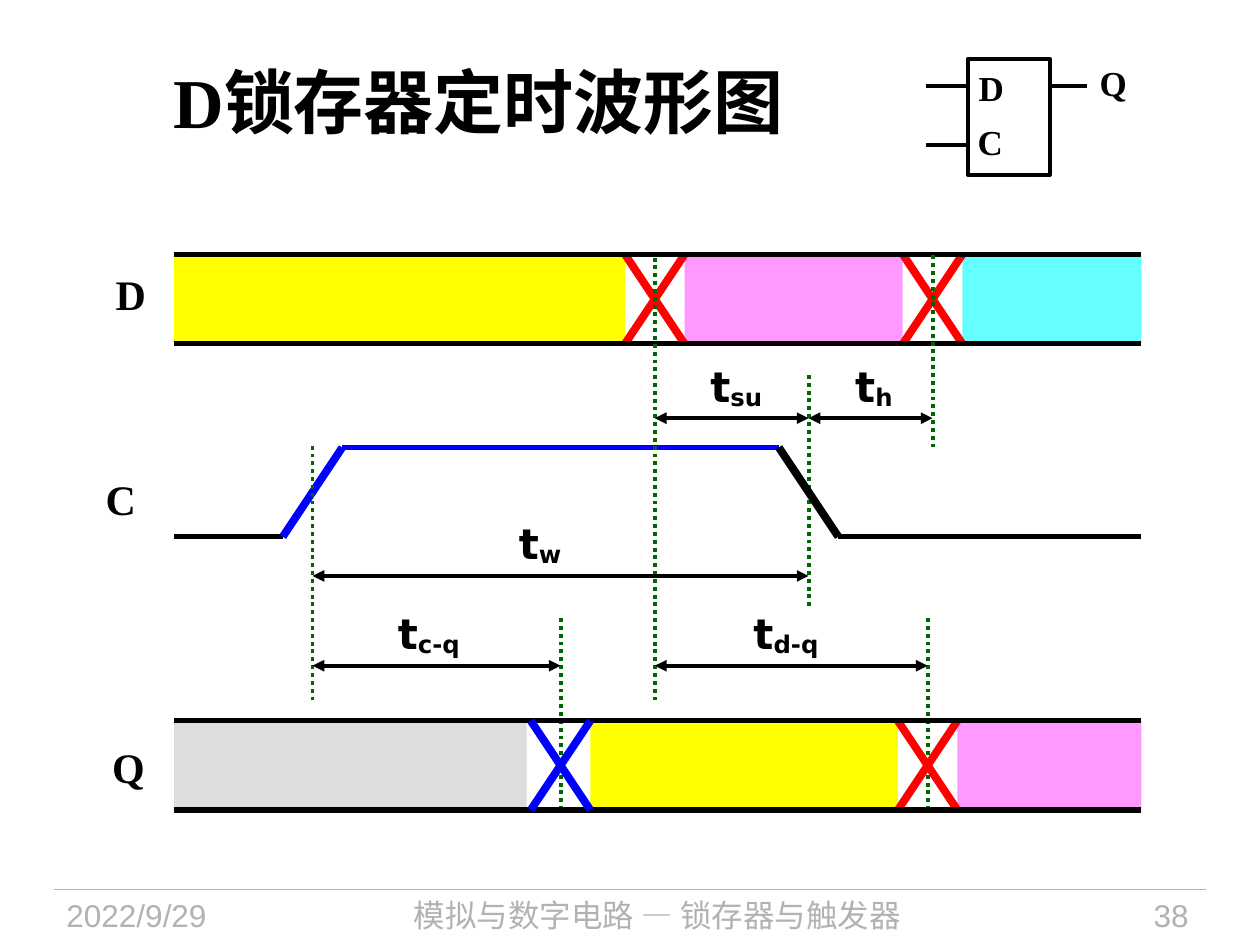
"""Build the slide showing the timing waveforms of a D latch."""
from lxml import etree
from pptx import Presentation
from pptx.dml.color import RGBColor
from pptx.enum.dml import MSO_LINE
from pptx.enum.shapes import MSO_CONNECTOR, MSO_SHAPE
from pptx.enum.text import MSO_ANCHOR, MSO_AUTO_SIZE, PP_ALIGN
from pptx.oxml.ns import qn
from pptx.util import Cm, Pt

STRAIGHT = MSO_CONNECTOR.STRAIGHT
RECTANGLE = MSO_SHAPE.RECTANGLE
DOTTED = MSO_LINE.ROUND_DOT
TOP, MIDDLE = MSO_ANCHOR.TOP, MSO_ANCHOR.MIDDLE
FIT = MSO_AUTO_SIZE.SHAPE_TO_FIT_TEXT
LEFT, CENTER, RIGHT = PP_ALIGN.LEFT, PP_ALIGN.CENTER, PP_ALIGN.RIGHT

BLACK = RGBColor(0x00, 0x00, 0x00)
GRAY = RGBColor(0xB2, 0xB2, 0xB2)
SILVER = RGBColor(0xDD, 0xDD, 0xDD)
YELLOW = RGBColor(0xFF, 0xFF, 0x00)
PINK = RGBColor(0xFF, 0x99, 0xFF)
CYAN = RGBColor(0x66, 0xFF, 0xFF)
RED = RGBColor(0xFF, 0x00, 0x00)
BLUE = RGBColor(0x00, 0x00, 0xFF)
GREEN = RGBColor(0x00, 0x66, 0x00)

SERIF, SANS, SYMBOL = "Times New Roman", "Arial", "DejaVu Sans"
CHINESE = "Noto Sans CJK SC"

START, END = 3.51, 23.01
SWING, HALF_EDGE = 1.8, 0.6
D_TOP, C_TOP, Q_TOP = 5.13, 9.02, 14.53
C_LOW = C_TOP + SWING
C_RISE, C_FALL = 6.3, 16.3
D_FIRST, D_SECOND = 13.2, 18.8
Q_FIRST, Q_SECOND = 11.3, 18.7


class TimingSlide:
    """Hold the drawing style and the current slide."""

    def __init__(self, slide):
        self.slide = slide

    def line(self, x1, y1, x2, y2, color=BLACK, width=2.25, dash=None, arrows=False):
        connector = self.slide.shapes.add_connector(STRAIGHT, Cm(x1), Cm(y1), Cm(x2), Cm(y2))
        connector.line.color.rgb = color
        connector.line.width = Pt(width)
        if dash:
            connector.line.dash_style = dash
        if arrows:
            outline = connector.line._get_or_add_ln()
            for end in ("a:headEnd", "a:tailEnd"):
                etree.SubElement(outline, qn(end), type="triangle")
        etree.SubElement(connector._element.spPr, qn("a:effectLst"))

    def rectangle(self, left, top, width, height, fill=None, border=None):
        shape = self.slide.shapes.add_shape(RECTANGLE, Cm(left), Cm(top), Cm(width), Cm(height))
        shape.shadow.inherit = False
        if fill is None:
            shape.fill.background()
        else:
            shape.fill.solid()
            shape.fill.fore_color.rgb = fill
        if border is None:
            shape.line.fill.background()
        else:
            shape.line.color.rgb = border
            shape.line.width = Pt(2.25)

    def text(self, text, left, top, width, height, size, font=SERIF, color=BLACK, bold=True,
             align=LEFT, anchor=TOP, wrap=True, subscript="", indent=0):
        box = self.slide.shapes.add_textbox(Cm(left), Cm(top), Cm(width), Cm(height))
        frame = box.text_frame
        frame.word_wrap = wrap
        frame.vertical_anchor = anchor
        if not wrap:
            frame.auto_size = FIT
        paragraph = frame.paragraphs[0]
        paragraph.alignment = align
        if indent:
            properties = paragraph._p.get_or_add_pPr()
            properties.set("marL", "0")
            properties.set("indent", str(Cm(indent)))
        paragraph.add_run().text = text
        if subscript:
            run = paragraph.add_run()
            run.text = subscript
            run._r.get_or_add_rPr().set("baseline", "-10000")
        paragraph.font.size = Pt(size)
        paragraph.font.bold = bold
        paragraph.font.color.rgb = color
        paragraph.font.name = font
        etree.SubElement(paragraph.font._rPr, qn("a:ea"), typeface=CHINESE)

    def label(self, text, left, top, width, size=24, **style):
        self.text(text, left, top, width, size * 0.053, size, wrap=False, **style)

    def footer(self, text, left, width, align, font=SANS):
        self.text(text, left, 17.93, width, 1.12, 18, font, GRAY, False, align)

    def bands(self, top, segments):
        for start, end, color in segments:
            self.rectangle(start, top, end - start, SWING, color)

    def rails(self, top):
        for y in (top, top + SWING):
            self.line(START, y, END, y, width=3)

    def edge(self, center, y1, y2, color):
        self.line(center - HALF_EDGE, y1, center + HALF_EDGE, y2, color, 4.5)

    def crossing(self, center, top, color):
        self.edge(center, top, top + SWING, color)
        self.edge(center, top + SWING, top, color)

    def guide(self, x, top, bottom):
        self.line(x, bottom, x, top, GREEN, dash=DOTTED)

    def interval(self, start, end, y):
        self.line(start, y, end, y, arrows=True)


def main():
    presentation = Presentation()
    presentation.slide_width, presentation.slide_height = Cm(25.4), Cm(19.05)
    timing = TimingSlide(presentation.slides.add_slide(presentation.slide_layouts[6]))

    timing.line(1.09, 17.93, 24.31, 17.93, GRAY, 0.75)
    timing.footer("2022/9/29", 1.09, 4.78, LEFT)
    timing.footer("模拟与数字电路 — 锁存器与触发器", 6.1, 14.3, CENTER, CHINESE)
    timing.footer("38", 20.83, 3.38, RIGHT)
    timing.text("D锁存器定时波形图", 1.27, 0.43, 22.86, 3.18, 40, anchor=MIDDLE, indent=1.98)

    timing.bands(D_TOP, [
        (START, D_FIRST - HALF_EDGE, YELLOW),
        (D_FIRST + HALF_EDGE, D_SECOND - HALF_EDGE, PINK),
        (D_SECOND + HALF_EDGE, END, CYAN),
    ])
    timing.bands(Q_TOP, [
        (START, 10.62, SILVER),
        (Q_FIRST + HALF_EDGE, Q_SECOND - HALF_EDGE, YELLOW),
        (Q_SECOND + HALF_EDGE, END, PINK),
    ])
    for center in (D_FIRST, D_SECOND):
        timing.crossing(center, D_TOP, RED)
    timing.rails(D_TOP)

    timing.line(START, C_LOW, C_RISE - HALF_EDGE, C_LOW, width=3)
    timing.line(C_RISE + HALF_EDGE, C_TOP, C_FALL - HALF_EDGE, C_TOP, BLUE, 3)
    timing.line(C_FALL + HALF_EDGE, C_LOW, END, C_LOW, width=3)
    timing.edge(C_RISE, C_LOW, C_TOP, BLUE)

    for x, top, bottom in [
        (D_FIRST, D_TOP, 14.12), (D_SECOND, D_TOP, C_TOP), (C_FALL, 7.52, 12.22),
        (C_RISE, 8.92, 14.12), (Q_FIRST, 12.42, 16.33), (Q_SECOND, 12.42, 16.33),
    ]:
        timing.guide(x, top, bottom)
    timing.edge(C_FALL, C_TOP, C_LOW, BLACK)

    for start, end, y in [
        (D_FIRST, C_FALL, 8.43), (C_FALL, D_SECOND, 8.43), (C_RISE, C_FALL, 11.61),
        (C_RISE, Q_FIRST, 13.42), (D_FIRST, Q_SECOND, 13.42),
    ]:
        timing.interval(start, end, y)
    for subscript, left, top, width in [
        ("su", 14.07, 7.14, 1.63), ("h", 16.99, 7.14, 1.3), ("w", 10.21, 10.31, 1.45),
        ("c-q", 7.77, 12.12, 1.88), ("d-q", 14.94, 12.12, 1.96),
    ]:
        timing.label("t", left, top, width, font=SYMBOL, subscript=subscript)

    timing.crossing(Q_SECOND, Q_TOP, RED)
    timing.rails(Q_TOP)
    timing.crossing(Q_FIRST, Q_TOP, BLUE)
    for name, left, top in [("D", 2.08, 5.28), ("C", 1.88, 9.42), ("Q", 2.01, 14.83)]:
        timing.label(name, left, top, 1.12)

    timing.rectangle(19.51, 1.19, 1.65, 2.34, border=BLACK)
    for x1, x2, y in [(18.67, 19.51, 1.73), (18.67, 19.51, 2.92), (21.13, 21.92, 1.73)]:
        timing.line(x1, y, x2, y)
    for name, left, top in [("D", 19.48, 1.22), ("C", 19.46, 2.31), ("Q", 21.92, 1.12)]:
        timing.label(name, left, top, 1.02, 20)

    presentation.save("out.pptx")


if __name__ == "__main__":
    main()
